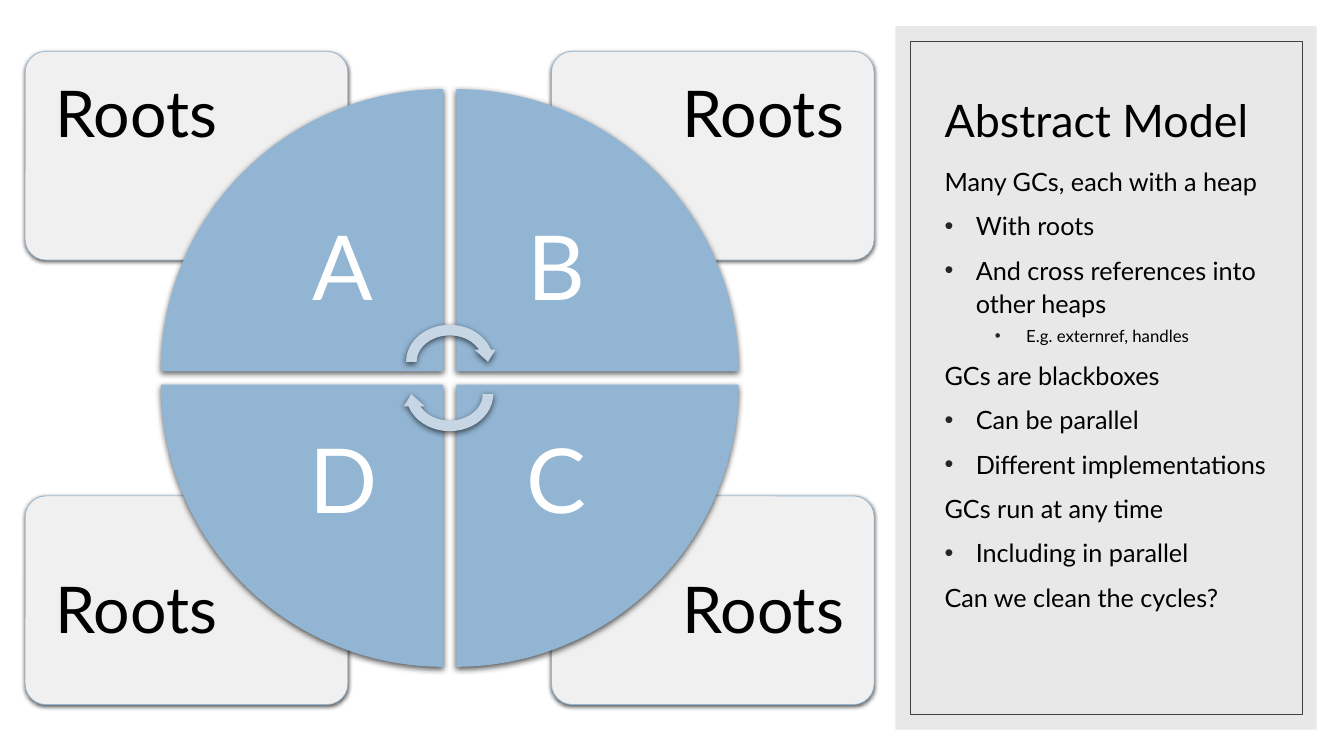
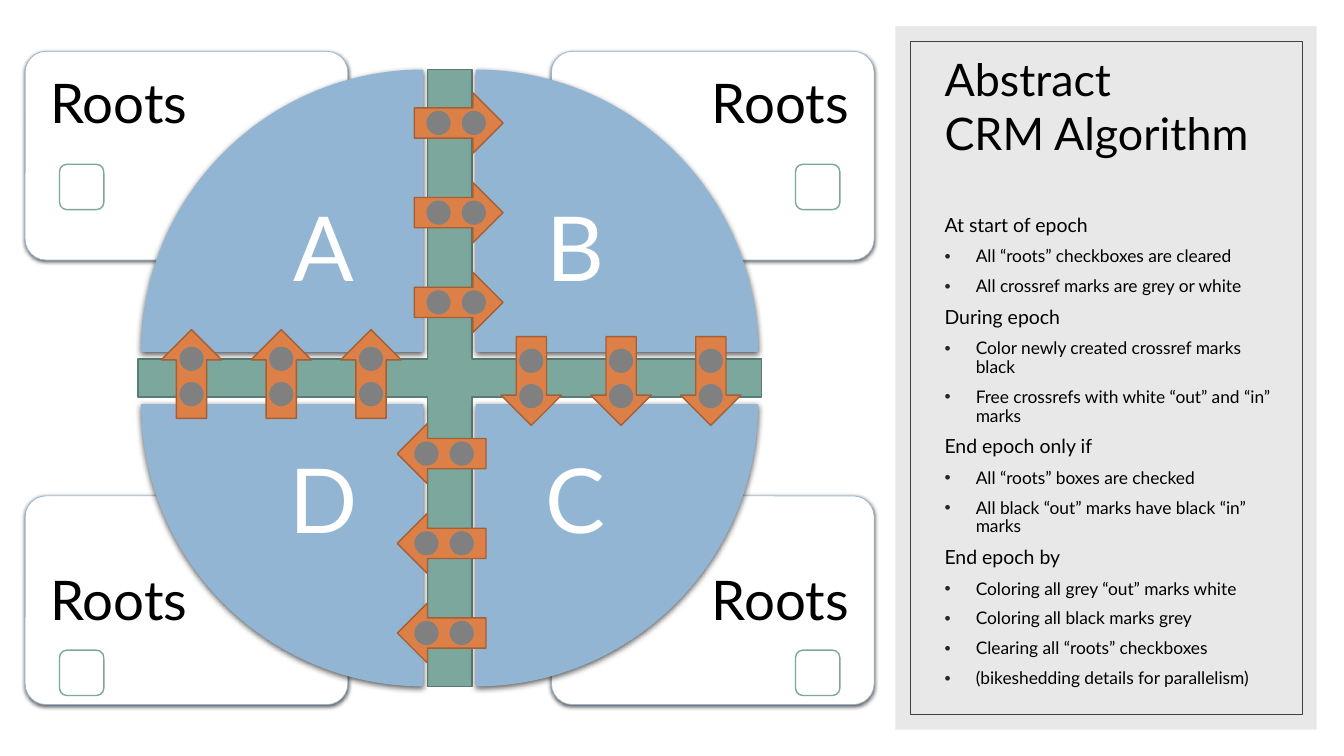
"""Build two slides on garbage-collected heaps: the abstract model and the CRM algorithm."""
import dataclasses
import math

import lxml.etree
import pptx
import pptx.dml.color
import pptx.enum.shapes
import pptx.enum.text
import pptx.oxml.ns
import pptx.util

Inches = pptx.util.Inches
Pt = pptx.util.Pt
SHAPE = pptx.enum.shapes.MSO_SHAPE
ALIGN = pptx.enum.text.PP_ALIGN
ANCHOR = pptx.enum.text.MSO_ANCHOR
qn = pptx.oxml.ns.qn


@dataclasses.dataclass(frozen=True)
class Theme:
    font: str = "Lato"
    text: str = "000000"
    light: str = "FFFFFF"
    bullet: str = "262626"
    panel: str = "E8E8E8"
    frame: str = "404040"
    heap: str = "92B5D3"
    cycle: str = "C6D6E5"
    card_line: str = "94B6D2"
    channel: str = "7BA79D"
    channel_line: str = "5B7C74"
    reference: str = "DD8047"
    reference_line: str = "A35F35"
    mark: str = "808080"
    title_size: float = 32
    heap_size: float = 64


THEME = Theme()

MODEL = {
    "title": "Abstract Model",
    "title_height": 0.84,
    "body_top": 1.57,
    "sizes": {"head": 18, "item": 18, "sub": 12},
    "line_spacing": 1.1,
    "gap": 0.13,
    "card_fill": "F0F0F0",
    "roots_size": 46,
    "roots_edge": 0.3,
    "roots_drop": {-1: 0.3, 1: 0.81},
    "body": [
        ("head", "Many GCs, each with a heap"),
        ("item", "With roots"),
        ("item", "And cross references into other heaps"),
        ("sub", "E.g. externref, handles"),
        ("head", "GCs are blackboxes"),
        ("item", "Can be parallel"),
        ("item", "Different implementations"),
        ("head", "GCs run at any time"),
        ("item", "Including in parallel"),
        ("head", "Can we clean the cycles?"),
    ],
}
ALGORITHM = {
    "title": "Abstract\vCRM Algorithm",
    "title_height": 0.97,
    "body_top": 2.09,
    "sizes": {"head": 13.9, "item": 12.4},
    "line_spacing": 0.9,
    "gap": 0.52,
    "card_fill": "FFFFFF",
    "roots_size": 39,
    "roots_edge": 0.25,
    "roots_drop": {-1: 0.25, 1: 0.77},
    "body": [
        ("head", "At start of epoch"),
        ("item", "All “roots” checkboxes are cleared"),
        ("item", "All crossref marks are grey or white"),
        ("head", "During epoch"),
        ("item", "Color newly created crossref marks black"),
        ("item", "Free crossrefs with white “out” and “in” marks"),
        ("head", "End epoch only if"),
        ("item", "All “roots” boxes are checked"),
        ("item", "All black “out” marks have black “in” marks"),
        ("head", "End epoch by"),
        ("item", "Coloring all grey “out” marks white"),
        ("item", "Coloring all black marks grey"),
        ("item", "Clearing all “roots” checkboxes"),
        ("item", "(bikeshedding details for parallelism)"),
    ],
}

# name, horizontal side, vertical side, rotation
QUADRANTS = [("A", -1, -1, 0), ("B", 1, -1, 90), ("C", 1, 1, 180), ("D", -1, 1, 270)]
REFERENCES = [
    {"turn": 0, "first": (4.55, 1.22), "step": (0, 0.89)},
    {"turn": 90, "first": (5.27, 3.78), "step": (0.89, 0)},
    {"turn": 180, "first": (4.38, 4.5), "step": (0, 0.89)},
    {"turn": 270, "first": (1.9, 3.71), "step": (0.89, 0)},
]
REFERENCES_PER_SIDE = 3
MARK_OFFSETS = (0.15, -0.2)
CHECKBOX_DROP = {-1: 1.12, 1: 1.53}
INDENTS = {"item": (0.31, 8), "sub": (0.81, 5), "head": (0, 8)}
HANGING = 0.31
CENTER = (4.46, 3.75)
CARD = (3.2, 2.07)
CARD_GAPS = (2.02, 2.34)
WEDGE = 2.8
LETTER = 1.98
CHECKBOX = (0.44, 0.45)


def color(value):
    return pptx.dml.color.RGBColor.from_string(value)


def add_shape(slide, kind, box, fill=None, line=None, width=1, turn=0, blur=0):
    shape = slide.shapes.add_shape(kind, *(Inches(length) for length in box))
    shape.rotation = turn
    if fill:
        shape.fill.solid()
        shape.fill.fore_color.rgb = color(fill)
    else:
        shape.fill.background()
    if line:
        shape.line.color.rgb = color(line)
        shape.line.width = Pt(width)
    else:
        shape.line.fill.background()
    shape.shadow.inherit = False
    if blur:
        effects = shape._element.spPr.find(qn("a:effectLst"))
        shadow = lxml.etree.SubElement(
            effects, qn("a:outerShdw"), blurRad=str(Pt(blur)), dist=str(Pt(blur / 3)),
            dir="5400000", algn="ctr", rotWithShape="0")
        shade = lxml.etree.SubElement(shadow, qn("a:srgbClr"), val="000000")
        lxml.etree.SubElement(shade, qn("a:alpha"), val="63000")
    return shape


def add_text(slide, box, lines, size, ink=THEME.text, align=ALIGN.LEFT,
             anchor=ANCHOR.TOP, spacing=1.0, inset=(0, 0)):
    frame = slide.shapes.add_textbox(*(Inches(length) for length in box)).text_frame
    frame.word_wrap = True
    frame.vertical_anchor = anchor
    frame.margin_left = frame.margin_right = Inches(inset[0])
    frame.margin_top = frame.margin_bottom = Inches(inset[1])
    frame.text = "\n".join(lines)
    for para in frame.paragraphs:
        para.alignment = align
        para.line_spacing = spacing
        for span in para.runs:
            span.font.name = THEME.font
            span.font.size = Pt(size)
            span.font.color.rgb = color(ink)
    return frame


def add_bullet(para, indent):
    properties = para._p.get_or_add_pPr()
    properties.set("marL", str(Inches(indent)))
    properties.set("indent", str(-Inches(HANGING)))
    tint = lxml.etree.SubElement(properties, qn("a:buClr"))
    lxml.etree.SubElement(tint, qn("a:srgbClr"), val=THEME.bullet)
    lxml.etree.SubElement(properties, qn("a:buFont"), typeface="Arial")
    lxml.etree.SubElement(properties, qn("a:buChar"), char="•")


def add_panel(slide, content):
    add_shape(slide, SHAPE.RECTANGLE, (8.88, 0.26, 4.18, 6.98), THEME.panel)
    add_shape(slide, SHAPE.RECTANGLE, (9.03, 0.41, 3.89, 6.68), line=THEME.frame, width=0.5)
    add_text(slide, (9.27, 0.66, 3.44, content["title_height"]), [content["title"]],
             THEME.title_size, anchor=ANCHOR.BOTTOM, inset=(0.1, 0.05))
    top = content["body_top"]
    frame = add_text(slide, (9.27, top, 3.57, 6.97 - top),
                     [text for _, text in content["body"]], content["sizes"]["head"],
                     spacing=content["line_spacing"], inset=(0.1, 0.05))
    for para, (style, _) in zip(frame.paragraphs, content["body"]):
        indent, before = INDENTS[style]
        para.space_before = Pt(before)
        para.runs[0].font.size = Pt(content["sizes"][style])
        if style == "sub":
            para.line_spacing = 1.0
        if indent:
            add_bullet(para, indent)


def beside(middle, side, gap, size):
    return middle + gap / 2 if side > 0 else middle - gap / 2 - size


def quadrant_box(across, down, gaps, size):
    left = beside(CENTER[0], across, gaps[0], size[0])
    top = beside(CENTER[1], down, gaps[1], size[1])
    return left, top, *size


def centered_box(x, y, width, height):
    return x - width / 2, y - height / 2, width, height


def add_heaps(slide, content):
    for _, across, down, _ in QUADRANTS:
        card_box = quadrant_box(across, down, CARD_GAPS, CARD)
        card = add_shape(slide, SHAPE.ROUNDED_RECTANGLE, card_box, content["card_fill"],
                         THEME.card_line, 0.5, blur=3)
        card.adjustments[0] = 0.1
        edge, width = content["roots_edge"], 1.7
        left = card_box[0] + (edge if across < 0 else CARD[0] - edge - width)
        add_text(slide, (left, card_box[1] + content["roots_drop"][down], width, 0.9),
                 ["Roots"], content["roots_size"], spacing=0.9,
                 align=ALIGN.LEFT if across < 0 else ALIGN.RIGHT)
    gaps = (content["gap"], content["gap"])
    for name, across, down, turn in QUADRANTS:
        add_shape(slide, SHAPE.PIE_WEDGE, quadrant_box(across, down, gaps, (WEDGE, WEDGE)),
                  THEME.heap, turn=turn, blur=4.5)
        add_text(slide, quadrant_box(across, down, gaps, (LETTER, LETTER)), [name],
                 THEME.heap_size, THEME.light, ALIGN.CENTER, ANCHOR.MIDDLE, 0.9)


def add_cycle(slide):
    for offset, turn in ((-0.16, 0), (0.16, 180)):
        add_shape(slide, SHAPE.CIRCULAR_ARROW,
                  centered_box(CENTER[0], CENTER[1] + offset, 0.97, 0.84),
                  THEME.cycle, turn=turn, blur=4.5)


def add_channel(slide):
    channel = add_shape(slide, SHAPE.CROSS, centered_box(*CENTER, 6.18, 6.12),
                        THEME.channel, THEME.channel_line)
    channel.adjustments[0] = 0.469


def add_references(slide):
    for side in REFERENCES:
        angle = math.radians(side["turn"])
        for index in range(REFERENCES_PER_SIDE):
            x, y = (start + index * step for start, step in zip(side["first"], side["step"]))
            add_shape(slide, SHAPE.RIGHT_ARROW, centered_box(x, y, 0.88, 0.6),
                      THEME.reference, THEME.reference_line, turn=side["turn"])
            for offset in MARK_OFFSETS:
                mark_x, mark_y = x + offset * math.cos(angle), y + offset * math.sin(angle)
                add_shape(slide, SHAPE.OVAL, centered_box(mark_x, mark_y, 0.24, 0.24),
                          THEME.mark)


def add_checkboxes(slide):
    for _, across, down, _ in QUADRANTS:
        left = beside(CENTER[0], across, 6.86, CHECKBOX[0])
        top = beside(CENTER[1], down, CARD_GAPS[1], CARD[1]) + CHECKBOX_DROP[down]
        add_shape(slide, SHAPE.ROUNDED_RECTANGLE, (left, top, *CHECKBOX),
                  THEME.light, THEME.channel)


deck = pptx.Presentation()
deck.slide_width, deck.slide_height = Inches(13.33), Inches(7.5)
blank = deck.slide_layouts[6]

model_page = deck.slides.add_slide(blank)
add_panel(model_page, MODEL)
add_heaps(model_page, MODEL)
add_cycle(model_page)

algorithm_page = deck.slides.add_slide(blank)
add_panel(algorithm_page, ALGORITHM)
add_channel(algorithm_page)
add_heaps(algorithm_page, ALGORITHM)
add_references(algorithm_page)
add_checkboxes(algorithm_page)

deck.save("out.pptx")
